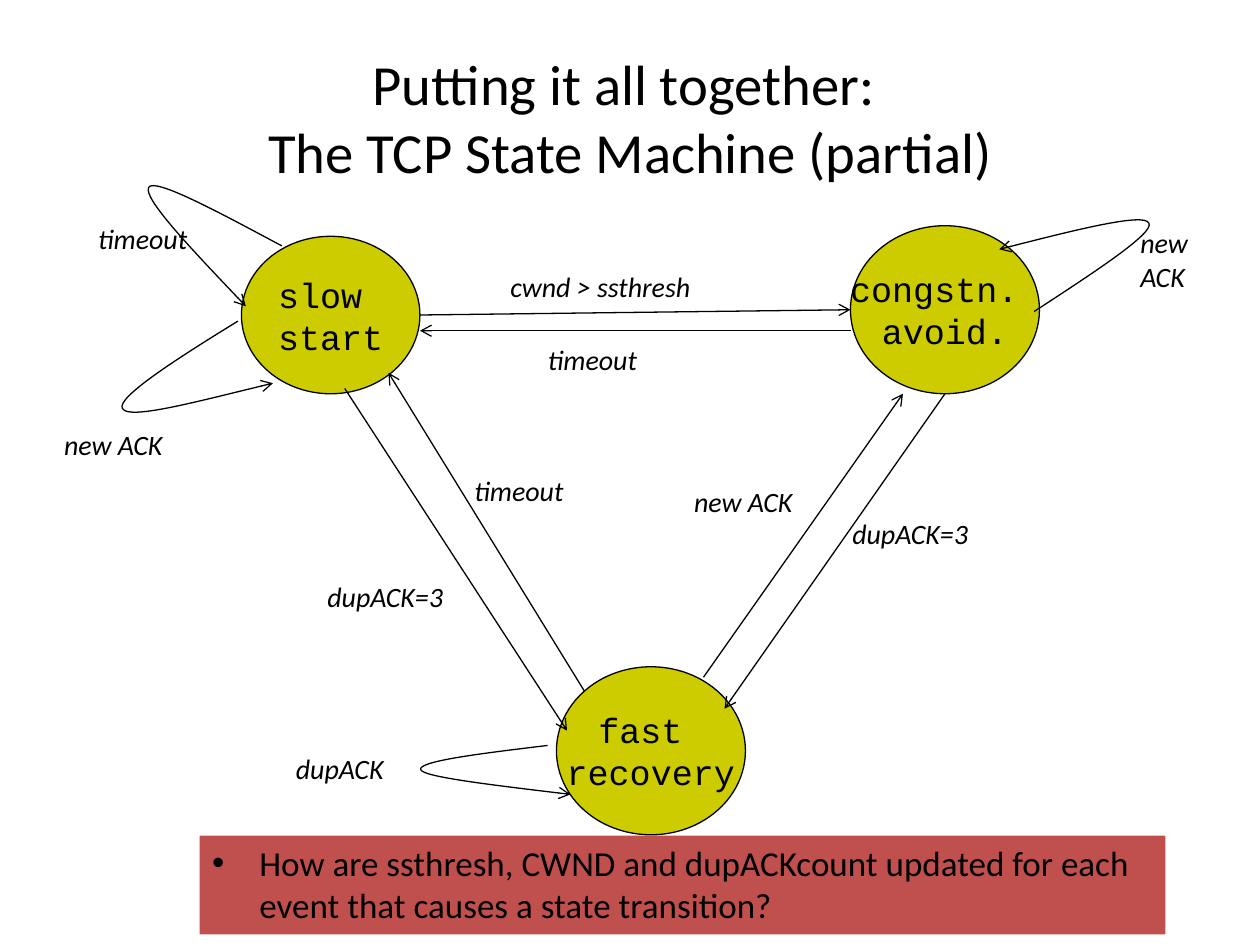
from lxml.etree import SubElement
from pptx import Presentation
from pptx.dml.color import RGBColor
from pptx.enum.shapes import MSO_CONNECTOR, MSO_SHAPE
from pptx.enum.text import MSO_ANCHOR, MSO_AUTO_SIZE, PP_ALIGN
from pptx.oxml.ns import qn
from pptx.util import Pt

BLACK = RGBColor(0x00, 0x00, 0x00)
OLIVE = RGBColor(0xCC, 0xCC, 0x00)
RED = RGBColor(0xC0, 0x50, 0x4D)


def write_text(paragraph, text, size, font_name="Calibri", italic=False):
    for index, line_text in enumerate(text.split("\n")):
        if index:
            paragraph.add_line_break()
        run = paragraph.add_run()
        run.text = line_text
        run.font.size = Pt(size)
        run.font.name = font_name
        run.font.color.rgb = BLACK
        if italic:
            run.font.italic = True


def style_arrow(shape):
    shape.line.color.rgb = BLACK
    shape.line.width = Pt(0.75)
    properties = shape.element.spPr
    SubElement(properties.find(qn("a:ln")), qn("a:tailEnd"), type="arrow")
    SubElement(properties, qn("a:effectLst"))


presentation = Presentation()
presentation.slide_width = Pt(720)
presentation.slide_height = Pt(540)
slide = presentation.slides.add_slide(presentation.slide_layouts[1])
shapes = slide.shapes

title = shapes.title
title.left, title.top, title.width, title.height = Pt(36), Pt(21.6), Pt(648), Pt(90)
title.text_frame.auto_size = MSO_AUTO_SIZE.NONE
title.text_frame.vertical_anchor = MSO_ANCHOR.MIDDLE
paragraph = title.text_frame.paragraphs[0]
paragraph.alignment = PP_ALIGN.CENTER
write_text(paragraph, "Putting it all together: \nThe TCP State Machine (partial)", 32.4)

question = slide.placeholders[1]
question.left, question.top, question.width, question.height = Pt(114), Pt(477.5), Pt(552), Pt(56.5)
question.fill.solid()
question.fill.fore_color.rgb = RED
question.text_frame.auto_size = MSO_AUTO_SIZE.NONE
paragraph = question.text_frame.paragraphs[0]
paragraph.space_before = Pt(0)
write_text(
    paragraph,
    "How are ssthresh, CWND and dupACKcount updated for each event that causes a state transition?",
    20,
)

states = [
    ("slow \nstart", 138, 135, 102, 90),
    ("congstn. \navoid.", 486, 129, 108, 96),
    ("fast \nrecovery", 318, 381, 108, 96),
]
for text, left, top, width, height in states:
    state = shapes.add_shape(MSO_SHAPE.OVAL, Pt(left), Pt(top), Pt(width), Pt(height))
    state.shadow.inherit = False
    state.fill.solid()
    state.fill.fore_color.rgb = OLIVE
    state.line.color.rgb = BLACK
    state.line.width = Pt(0.75)
    state.text_frame.word_wrap = False
    state.text_frame.vertical_anchor = MSO_ANCHOR.MIDDLE
    paragraph = state.text_frame.paragraphs[0]
    paragraph.alignment = PP_ALIGN.CENTER
    write_text(paragraph, text, 20, "Courier New")

transitions = [
    (240, 180, 486, 177),
    (486, 189, 240, 189),
    (197, 222, 324, 417.5),
    (540, 225, 414, 405),
    (402, 387, 516, 225),
    (334, 395, 222, 213),
]
for ends in transitions:
    transition = shapes.add_connector(MSO_CONNECTOR.STRAIGHT, *[Pt(value) for value in ends])
    style_arrow(transition)

self_loops = [
    [(313, 426), (276, 430.5), (238, 435), (240.5, 440), (242.5, 444), (284.5, 449), (326, 454)],
    [(136, 183.5), (101, 205), (66, 227.5), (70, 233.5), (73.5, 240), (114.5, 229), (156, 219)],
    [(161, 140.5), (124.5, 121), (88.5, 101.5), (85, 107), (81.5, 113), (111, 144), (140.5, 175)],
    [(591, 178), (625.5, 155.5), (660, 133), (656.5, 127.5), (654, 121.5), (612, 132), (571, 142.5)],
]
for points in self_loops:
    start, *controls = [(Pt(x), Pt(y)) for x, y in points]
    builder = shapes.build_freeform(*start)
    builder.add_line_segments(controls, close=False)
    loop = builder.convert_to_shape()
    outline = loop.element.spPr.find(".//" + qn("a:path"))
    segments = outline.findall(qn("a:lnTo"))
    for first in range(0, len(segments), 3):
        curve = SubElement(outline, qn("a:cubicBezTo"))
        for segment in segments[first:first + 3]:
            curve.append(segment[0])
            outline.remove(segment)
    loop.fill.background()
    style_arrow(loop)

labels = [
    ("cwnd > ssthresh", 284.5, 150.5, 135),
    ("timeout", 306, 192, 71),
    ("dupACK=3", 180, 327.5, 97),
    ("timeout", 264, 267, 71),
    ("dupACK=3", 480, 291.5, 97),
    ("new ACK", 389.5, 273.5, 85),
    ("dupACK", 162, 426, 78.5),
    ("new ACK", 29.5, 240.5, 85),
    ("timeout", 49, 123, 71),
    ("new \nACK", 644.5, 125.5, 52),
]
for text, left, top, width in labels:
    height = 46 if "\n" in text else 26.5
    label = shapes.add_textbox(Pt(left), Pt(top), Pt(width), Pt(height))
    label.text_frame.word_wrap = False
    label.text_frame.auto_size = MSO_AUTO_SIZE.SHAPE_TO_FIT_TEXT
    write_text(label.text_frame.paragraphs[0], text, 16, italic=True)

presentation.save("out.pptx")
